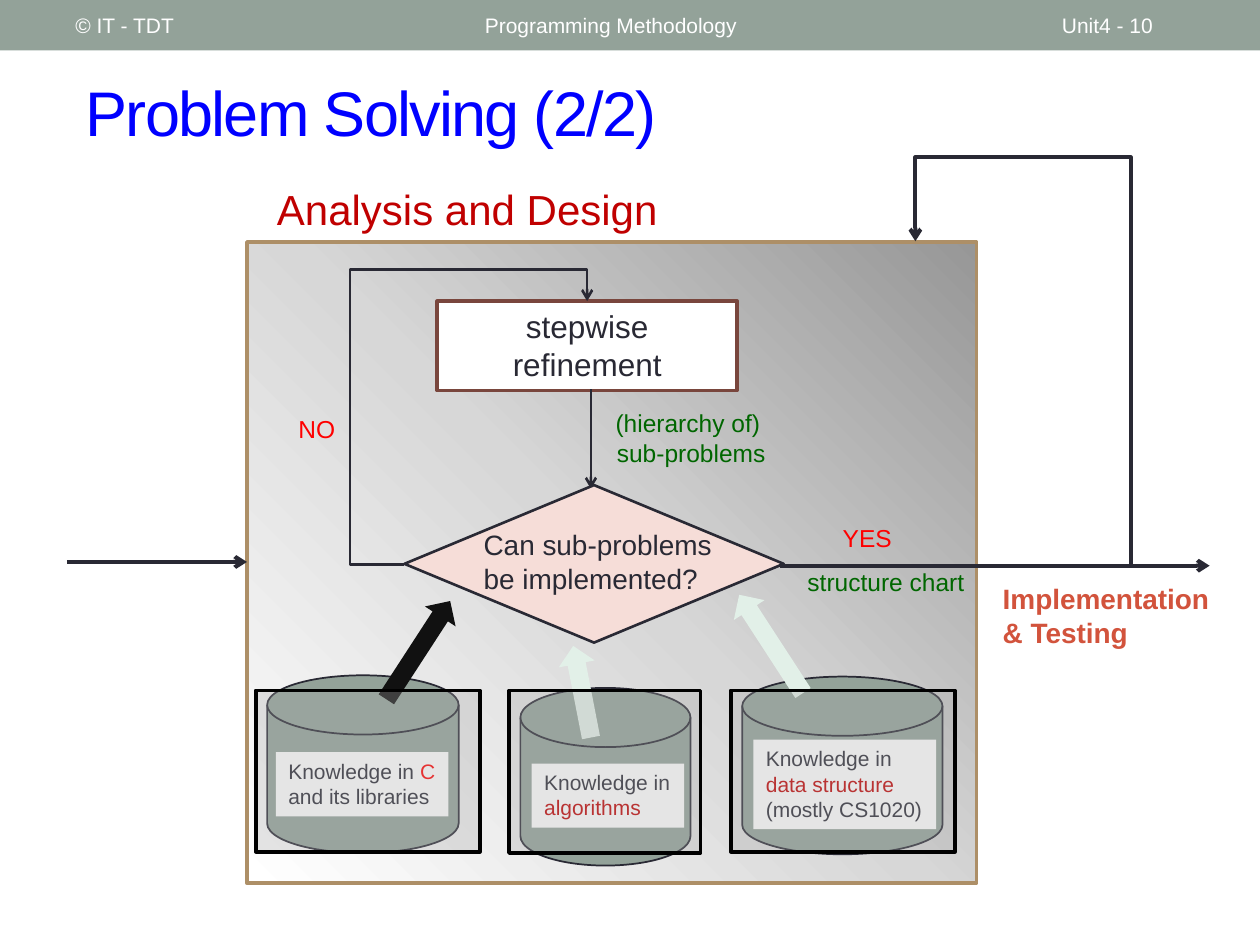
from lxml.etree import SubElement
from pptx import Presentation
from pptx.dml.color import RGBColor
from pptx.enum.shapes import MSO_CONNECTOR, MSO_SHAPE
from pptx.enum.text import MSO_ANCHOR, PP_ALIGN
from pptx.oxml import parse_xml
from pptx.oxml.ns import nsdecls, qn
from pptx.util import Inches, Pt

INK, RED, DARK_RED, GREEN = "292934", "FF0000", "C00000", "006600"
SAGE, WHITE, MINT = "93A299", "FFFFFF", "E2F0E8"

TITLE = "Problem Solving (2/2)"
# text, left, width
HEADER = [
    ("Programming Methodology", 3.75, 4.5),
    ("Unit4 - 10", 8.33, 1.17),
    ("© IT - TDT", 0.5, 3.17),
]
# lines, box, format
LABELS = [
    (["(hierarchy of)", " sub-problems"], (4.73, 3.19, 1.46, 0.57),
     dict(size=14, color=GREEN, align=PP_ALIGN.CENTER, wrap=False)),
    (["Can sub-problems", "be implemented?"], (3.74, 4.14, 2.1, 0.64),
     dict(size=16, color=INK, wrap=False)),
    (["NO"], (2.27, 3.24, 0.5, 0.34), dict(size=14, color=RED, wrap=False)),
    (["YES"], (6.59, 4.1, 0.6, 0.34), dict(size=14, color=RED, wrap=False)),
    (["Implementation", "& Testing"], (7.86, 4.57, 1.89, 0.64),
     dict(size=16, color="D2533C", bold=True)),
    (["structure chart"], (6.31, 4.45, 1.55, 0.34), dict(size=14, color=GREEN)),
    (["Analysis and Design"], (2.1, 1.41, 3.64, 0.5), dict(size=24, color=DARK_RED)),
]
# each line of a note is a list of (text, colour) runs
KNOWLEDGE = [
    dict(disk=(2.12, 5.36, 1.52, 1.41), note=(2.19, 5.97, 1.37, 0.51),
         frame=(2.03, 5.48, 1.78, 1.28),
         lines=[[("Knowledge in ", INK), ("C", RED)], [("and its libraries", INK)]]),
    dict(disk=(4.13, 5.46, 1.35, 1.41), note=(4.22, 6.06, 1.21, 0.51),
         frame=(4.04, 5.48, 1.52, 1.29),
         lines=[[("Knowledge in", INK)], [("algorithms", DARK_RED)]]),
    dict(disk=(5.89, 5.37, 1.59, 1.41), note=(5.98, 5.87, 1.45, 0.71),
         frame=(5.8, 5.48, 1.78, 1.28),
         lines=[[("Knowledge in", INK)], [("data structure", DARK_RED)],
                [("(mostly CS1020)", INK)]]),
]
# centre x, centre y, length, rotation, fill
BLOCK_ARROWS = [
    (3.32, 5.16, 0.93, -57, "111111"),
    (6.12, 5.11, 0.93, 237, MINT),
    (4.62, 5.49, 0.74, 259, MINT),
]
BLOCK_ARROW_WIDTH = 0.29
# start x, start y, end x, end y, line width
ENTRY = (0.53, 4.46, 1.96, 4.46, 2.25)
REFINE_TO_CHECK = (4.69, 3.09, 4.69, 3.88, 1.5)
EXIT = (6.19, 4.49, 9.6, 4.49, 2.25)
NO_LOOP = (3.21, 4.48, 4.66, 2.39, 1.5)
REDESIGN_LOOP = (6.83, 4.06, 9.41, 2.35, 2.25)

prs = Presentation()
prs.slide_width, prs.slide_height = Inches(10), Inches(7.5)
slide = prs.slides.add_slide(prs.slide_layouts[5])


def rgb(color):
    return RGBColor.from_string(color)


def inches(box):
    return [Inches(v) for v in box]


def write(frame, lines, size, color=INK, bold=False, align=PP_ALIGN.LEFT,
          wrap=True, anchor=MSO_ANCHOR.TOP):
    """Fill a text frame; a line is a string or a list of (text, colour) runs."""
    frame.word_wrap, frame.vertical_anchor = wrap, anchor
    for i, line in enumerate(lines):
        paragraph = frame.add_paragraph() if i else frame.paragraphs[0]
        paragraph.alignment = align
        for text, run_color in [(line, color)] if isinstance(line, str) else line:
            run = paragraph.add_run()
            run.text = text
            for name, value in dict(name="Arial", size=Pt(size), bold=bold).items():
                setattr(run.font, name, value)
            run.font.color.rgb = rgb(run_color)


def add_text(lines, box, **style):
    write(slide.shapes.add_textbox(*inches(box)).text_frame, lines, **style)


def add_shape(kind, box, fill=None, line=None, width=1):
    shape = slide.shapes.add_shape(kind, *inches(box))
    shape.shadow.inherit = False
    if fill:
        shape.fill.solid()
        shape.fill.fore_color.rgb = rgb(fill)
    if line:
        shape.line.color.rgb = rgb(line)
        shape.line.width = Pt(width)
    else:
        shape.line.fill.background()
    return shape


def add_arrow(x1, y1, x2, y2, width, kind=None, adjusts=(), rotation=0):
    """Add a straight arrow, or a bent one of the given preset kind."""
    route = MSO_CONNECTOR.ELBOW if kind else MSO_CONNECTOR.STRAIGHT
    arrow = slide.shapes.add_connector(route, *inches((x1, y1, x2, y2)))
    arrow.line.color.rgb = rgb(INK)
    arrow.line.width = Pt(width)
    SubElement(arrow.line._get_or_add_ln(), qn("a:tailEnd"), type="arrow")
    properties = arrow._element.spPr
    SubElement(properties, qn("a:effectLst"))
    if kind:
        geometry = properties.find(qn("a:prstGeom"))
        geometry.set("prst", kind)
        guides = geometry.find(qn("a:avLst"))
        for i, value in enumerate(adjusts, 1):
            SubElement(guides, qn("a:gd"), name=f"adj{i}", fmla=f"val {value}")
        properties.find(qn("a:xfrm")).set("rot", str(rotation * 60000))


def shade_from_top_right(shape, stops):
    stop_xml = "".join(f'<a:gs pos="{pos * 1000}"><a:srgbClr val="{color}"/></a:gs>'
                       for pos, color in stops)
    gradient = parse_xml(
        f'<a:gradFill {nsdecls("a")} rotWithShape="1"><a:gsLst>{stop_xml}</a:gsLst>'
        '<a:path path="circle"><a:fillToRect l="100000" b="100000"/></a:path></a:gradFill>')
    shape._element.spPr.find(qn("a:prstGeom")).addnext(gradient)


# Header and title
add_shape(MSO_SHAPE.RECTANGLE, (0, 0, 10, 0.4), SAGE)
for text, left, width in HEADER:
    add_text([text], (left, 0.02, width, 0.36), size=12, color=WHITE,
             anchor=MSO_ANCHOR.MIDDLE)
title = slide.shapes.title
title.left, title.top, title.width, title.height = inches((0.58, 0.42, 9.17, 0.92))
write(title.text_frame, [TITLE], 36, "0000FF", anchor=MSO_ANCHOR.MIDDLE)
title.text_frame.paragraphs[0].runs[0].font._element.set("spc", "-100")

# Flow of analysis and design
panel = add_shape(MSO_SHAPE.RECTANGLE, (1.96, 1.92, 5.79, 5.09), line="AD8F67", width=2.08)
shade_from_top_right(panel, [(0, "979797"), (50, "D7D7D7"), (100, WHITE)])
add_arrow(*ENTRY)
refinement = add_shape(MSO_SHAPE.RECTANGLE, (3.47, 2.39, 2.38, 0.71), WHITE, "79463D", 2.08)
write(refinement.text_frame, ["stepwise", "refinement"], 18, align=PP_ALIGN.CENTER)
add_arrow(*REFINE_TO_CHECK)
add_shape(MSO_SHAPE.DIAMOND, (3.21, 3.85, 3.01, 1.25), "F6DDD8", INK, 1.5)
add_arrow(*NO_LOOP, kind="bentConnector4", adjusts=(-29800, 112000))

# Knowledge stores
for store in KNOWLEDGE:
    add_shape(MSO_SHAPE.FLOWCHART_MAGNETIC_DISK, store["disk"], SAGE, INK)
    note = add_shape(MSO_SHAPE.RECTANGLE, store["note"], WHITE)
    write(note.text_frame, store["lines"], 12)
for x, y, length, rotation, fill in BLOCK_ARROWS:
    box = (x - length / 2, y - BLOCK_ARROW_WIDTH / 2, length, BLOCK_ARROW_WIDTH)
    add_shape(MSO_SHAPE.RIGHT_ARROW, box, fill).rotation = rotation

for lines, box, style in LABELS:
    add_text(lines, box, **style)
add_arrow(*REDESIGN_LOOP, kind="bentConnector3", adjusts=(125800,), rotation=270)
add_arrow(*EXIT)

for store in KNOWLEDGE:
    frame = add_shape(MSO_SHAPE.RECTANGLE, store["frame"], "AAAAAA", "000000", 2.08)
    tint = frame._element.spPr.find(qn("a:solidFill"))[0]
    SubElement(tint, qn("a:alpha"), val="30000")

prs.save("out.pptx")
